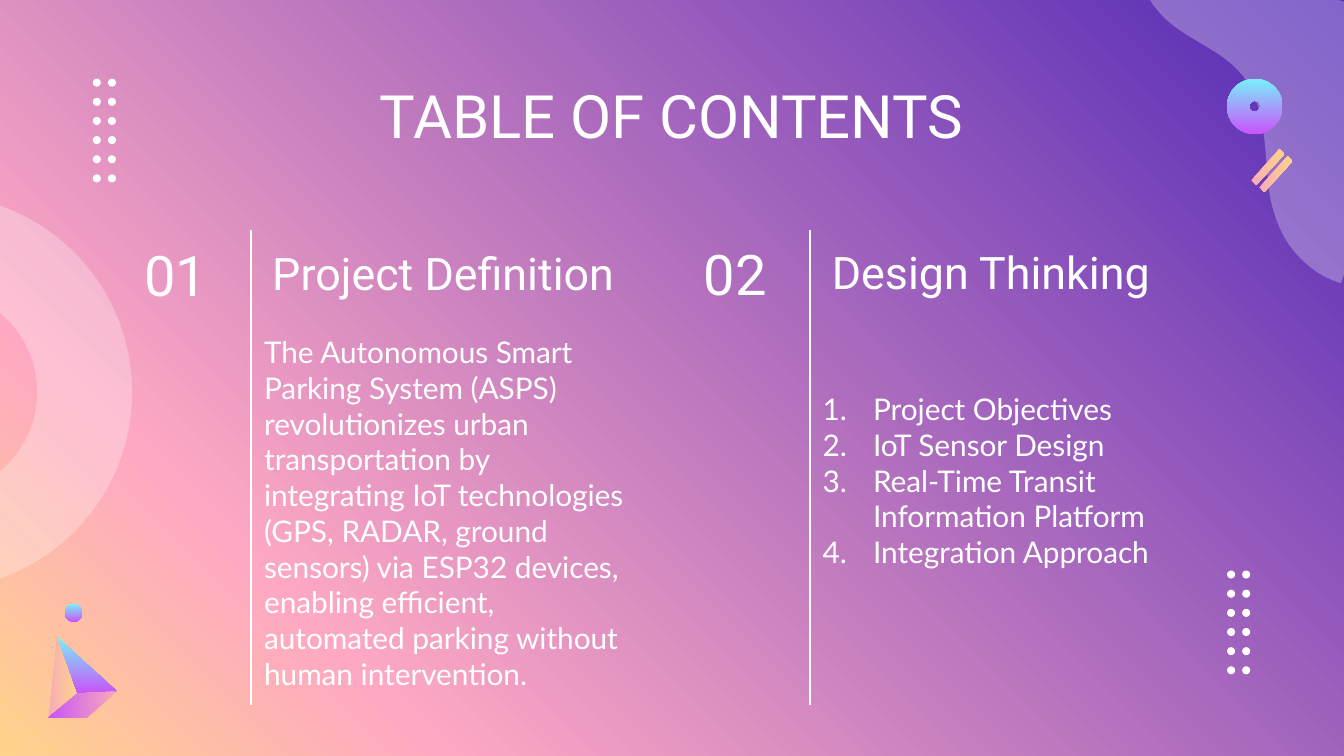
"""Build the table of contents slide of the smart parking deck."""
import copy

import pptx
import pptx.dml.color
import pptx.enum.shapes
import pptx.enum.text
import pptx.oxml.ns
import pptx.oxml.xmlchemy
import pptx.util
from pptx.util import Inches

RGBColor = pptx.dml.color.RGBColor
Preset = pptx.enum.shapes.MSO_SHAPE
Align = pptx.enum.text.PP_ALIGN
qn = pptx.oxml.ns.qn
new_element = pptx.oxml.xmlchemy.OxmlElement

WHITE = RGBColor(0xFF, 0xFF, 0xFF)
INDIGO = RGBColor(0x52, 0x29, 0xB7)
PINK = RGBColor(0xFE, 0xA8, 0xC3)
PEACH = RGBColor(0xFF, 0xD3, 0x8B)
ROSE = RGBColor(0xF7, 0xAB, 0xB7)
CYAN = RGBColor(0x78, 0xF0, 0xF9)
VIOLET = RGBColor(0xC9, 0x54, 0xFA)

SUMMARY = (
    "The Autonomous Smart Parking System (ASPS) revolutionizes urban "
    "transportation by integrating IoT technologies (GPS, RADAR, ground "
    "sensors) via ESP32 devices, enabling efficient, automated parking "
    "without human intervention."
)
TOPICS = (
    "Project Objectives\nIoT Sensor Design\n"
    "Real-Time Transit Information Platform\nIntegration Approach"
)
BLOB_START = (11.28, -0.7)
BLOB_CURVES = [
    ((11.21, -0.36), (11.34, 0.02), (11.62, 0.24)),
    ((11.87, 0.44), (12.21, 0.54), (12.38, 0.83)),
    ((12.57, 1.15), (12.54, 1.55), (12.59, 1.91)),
    ((12.62, 2.09), (12.68, 2.27), (12.78, 2.42)),
    ((12.87, 2.55), (12.99, 2.66), (13.13, 2.74)),
    ((13.19, 2.77), (13.24, 2.79), (13.3, 2.81)),
]


def curve_points(start, curves, steps=12):
    """Return points along a chain of cubic curves."""
    points = [start]
    for first, second, end in curves:
        origin = points[-1]
        for step in range(1, steps + 1):
            t = step / steps
            points.append(tuple(
                (1 - t) ** 3 * a + 3 * (1 - t) ** 2 * t * b
                + 3 * (1 - t) * t ** 2 * c + t ** 3 * d
                for a, b, c, d in zip(origin, first, second, end)
            ))
    return points


class ContentsSlide:
    """Hold the style and the current slide."""

    heading_font = "Roboto"
    body_font = "Lato"
    ink = WHITE
    inset = Inches(0.13)

    def __init__(self, slide):
        """Keep the slide to draw on."""
        self.slide = slide

    def gradient(self, fill, colors, angle):
        """Apply a two-colour gradient with a clockwise angle."""
        fill.gradient()
        fill.gradient_angle = (360 - angle) % 360
        for stop, color, position in zip(fill.gradient_stops, colors, (0, 1)):
            stop.color.rgb = color
            stop.position = position

    def background(self):
        """Paint the three-colour backdrop."""
        self.gradient(self.slide.background.fill, (INDIGO, PEACH), 135)
        first_stop = next(self.slide.element.iter(qn("a:gs")))
        middle_stop = copy.deepcopy(first_stop)
        middle_stop.set("pos", "79000")
        middle_stop.find(qn("a:srgbClr")).set("val", str(PINK))
        first_stop.addnext(middle_stop)

    def finish(self, shape, fill, angle, opacity):
        """Give a shape its fill and remove its outline and shadow."""
        shape.shadow.inherit = False
        shape.line.fill.background()
        if isinstance(fill, RGBColor):
            shape.fill.solid()
            shape.fill.fore_color.rgb = fill
            if opacity < 100:
                color = next(shape.element.spPr.iter(qn("a:srgbClr")))
                alpha = new_element("a:alpha")
                alpha.set("val", str(opacity * 1000))
                color.append(alpha)
        else:
            self.gradient(shape.fill, fill, angle)

    def preset(self, kind, left, top, size, fill, angle=90, opacity=100,
               hole=None, parent=None):
        """Add a round preset shape."""
        shapes = (parent or self.slide).shapes
        shape = shapes.add_shape(
            kind, Inches(left), Inches(top), Inches(size), Inches(size))
        if hole is not None:
            shape.adjustments[0] = hole
        self.finish(shape, fill, angle, opacity)

    def polygon(self, points, fill, angle=0, opacity=100, parent=None):
        """Add a closed outline through the points."""
        start, *rest = [(Inches(x), Inches(y)) for x, y in points]
        builder = (parent or self.slide).shapes.build_freeform(*start)
        builder.add_line_segments(rest, close=True)
        self.finish(builder.convert_to_shape(), fill, angle, opacity)

    def dot_grid(self, left, top):
        """Add a grouped grid of two columns and six rows of dots."""
        grid = self.slide.shapes.add_group_shape()
        for column in range(2):
            for row in range(6):
                self.preset(Preset.OVAL, left + column * 0.15,
                            top + row * 0.19, 0.08, self.ink, parent=grid)

    def divider(self, left):
        """Add a vertical rule."""
        rule = self.slide.shapes.add_connector(
            pptx.enum.shapes.MSO_CONNECTOR.STRAIGHT,
            Inches(left), Inches(2.28), Inches(left), Inches(6.99))
        rule.line.color.rgb = self.ink
        rule.line.width = pptx.util.Pt(1.5)
        rule.element.spPr.append(new_element("a:effectLst"))

    def text(self, text, left, top, width, height, size=32, font=None,
             align=Align.LEFT, numbered=False):
        """Add a text box with one paragraph per line of text."""
        box = self.slide.shapes.add_textbox(
            Inches(left), Inches(top), Inches(width), Inches(height))
        frame = box.text_frame
        frame.word_wrap = True
        frame.vertical_anchor = pptx.enum.text.MSO_ANCHOR.MIDDLE
        frame.margin_left = frame.margin_right = self.inset
        frame.margin_top = frame.margin_bottom = self.inset
        frame.text = text
        for paragraph in frame.paragraphs:
            paragraph.alignment = align
            if numbered:
                properties = paragraph._p.get_or_add_pPr()
                properties.set("marL", str(Inches(0.5)))
                properties.set("indent", str(-Inches(0.5)))
                number = new_element("a:buAutoNum")
                number.set("type", "arabicPeriod")
                properties.append(number)
            for run in paragraph.runs:
                run.font.name = font or self.heading_font
                run.font.size = pptx.util.Pt(size)
                run.font.color.rgb = self.ink


def main():
    """Draw the slide and save it."""
    deck = pptx.Presentation()
    deck.slide_width, deck.slide_height = Inches(13.33), Inches(7.5)
    page = ContentsSlide(deck.slides.add_slide(deck.slide_layouts[6]))
    page.background()
    page.preset(Preset.DONUT, -2.61, 1.93, 3.92, WHITE, opacity=28, hole=0.24)
    blob = curve_points(BLOB_START, BLOB_CURVES) + [(14.17, 0.31)]
    page.polygon(blob, WHITE, opacity=28)

    page.text("Project Definition", 2.57, 2.3, 3.78, 0.8)
    page.text("01", 1.3, 2.33, 1.19, 0.77, size=40)
    page.text(SUMMARY, 2.49, 4.73, 3.86, 0.71, size=21.3, font=page.body_font)
    page.text("Design Thinking", 8.12, 2.29, 3.91, 0.8)
    page.text("02", 6.85, 2.32, 1.19, 0.77, size=40)
    page.text(TOPICS, 8.03, 4.41, 4, 0.71, size=21.3, font=page.body_font,
              numbered=True)
    page.text("TABLE OF CONTENTS", 1.05, 0.78, 11.23, 0.71, size=42.7,
              align=Align.CENTER)
    for left in (2.49, 8.03):
        page.divider(left)

    page.dot_grid(12.17, 5.66)
    page.dot_grid(0.92, 0.78)

    apex, ridge, right, left = (0.57, 6.32), (0.77, 6.88), (1.16, 6.86), (0.48, 7.12)
    pyramid = page.slide.shapes.add_group_shape()
    page.polygon([left, ridge, apex], (ROSE, PEACH), parent=pyramid)
    page.polygon([apex, ridge, right], (CYAN, VIOLET), 90, parent=pyramid)
    page.polygon([right, ridge, left, (0.86, 7.12)], (ROSE, VIOLET), 180,
                 parent=pyramid)

    page.preset(Preset.DONUT, 12.17, 0.78, 0.55, (CYAN, VIOLET), hole=0.4)
    page.preset(Preset.OVAL, 0.64, 5.99, 0.18, (CYAN, VIOLET))
    for x, y in ((12.41, 1.48), (12.49, 1.55)):
        page.polygon([(x, y + 0.31), (x + 0.28, y), (x + 0.33, y + 0.05),
                      (x + 0.05, y + 0.36)], (ROSE, PEACH))
    deck.save("out.pptx")


if __name__ == "__main__":
    main()
